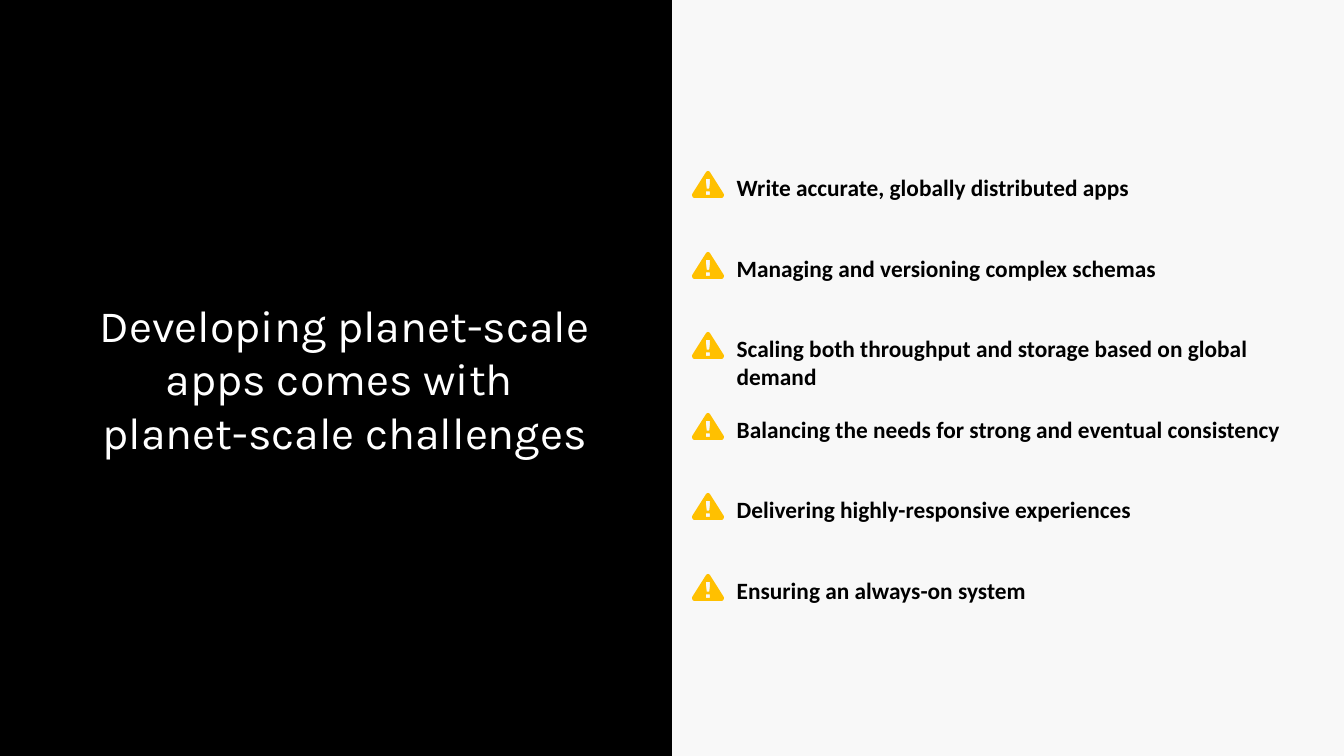
from pptx import Presentation, util as u
from pptx.dml.color import RGBColor
from pptx.enum import shapes, text

# Content
TITLE = "Developing planet-scale apps comes with \vplanet-scale challenges"
CHALLENGES = [
    "Write accurate, globally distributed apps",
    "Managing and versioning complex schemas",
    "Scaling both throughput and storage based on global demand",
    "Balancing the needs for strong and eventual consistency",
    "Delivering highly-responsive experiences",
    "Ensuring an always-on system",
]
COLORS = {"panel": "000000", "page": "F8F8F8", "title": "FFFFFF",
          "body": "000000", "warning": "FFC000"}

# Warning sign outlines, in tenths of a px: triangle, stem, dot
WARNING_SIGN = [
    [(316, 227), (180, 12), (172, 4), (160, 0), (148, 4), (140, 12),
     (4, 227), (0, 240), (4, 256), (12, 266), (26, 270),
     (294, 270), (308, 266), (316, 256), (320, 240)],
    [(140, 80), (180, 80), (180, 118), (172, 178), (148, 178), (140, 118)],
    [(140, 205), (180, 205), (180, 240), (140, 240)],
]

# Layout in px
SCALE = 9255
WIDTH, HEIGHT = 1344, 756
ICON_LEFT, TEXT_LEFT, TEXT_WIDTH = 692, 727, 602
FIRST_TOP, LAST_TOP = 168, 571
ICON_DROP = 3


def px(length):
    return u.Emu(round(length * SCALE))


def color(name):
    return RGBColor.from_string(COLORS[name])


def add_text(page, words, left, top, width, height, *, font, size, fill,
             bold=False, align=text.PP_ALIGN.LEFT, anchor=text.MSO_ANCHOR.TOP):
    box = page.shapes.add_textbox(px(left), px(top), px(width), px(height))
    frame = box.text_frame
    frame.word_wrap = True
    frame.vertical_anchor = anchor
    para = frame.paragraphs[0]
    para.text = words
    para.alignment = align
    for span in para.runs:
        span.font.name = font
        span.font.size = u.Pt(size)
        span.font.bold = bold
        span.font.color.rgb = color(fill)


def paint(shape, fill):
    shape.shadow.inherit = False
    shape.fill.solid()
    shape.fill.fore_color.rgb = color(fill)
    shape.line.fill.background()


def add_warning(page, left, top):
    first, *holes = WARNING_SIGN
    builder = page.shapes.build_freeform(*first[0], scale=SCALE / 10)
    builder.add_line_segments(first[1:])
    for hole in holes:
        builder.move_to(*hole[0])
        builder.add_line_segments(hole[1:])
    paint(builder.convert_to_shape(px(left), px(top)), "warning")


def main():
    deck = Presentation()
    deck.slide_width, deck.slide_height = px(WIDTH), px(HEIGHT)
    page = deck.slides.add_slide(deck.slide_layouts[6])
    page.background.fill.solid()
    page.background.fill.fore_color.rgb = color("page")

    # Left half with the title
    panel = page.shapes.add_shape(shapes.MSO_SHAPE.RECTANGLE,
                                  0, 0, px(WIDTH / 2), px(HEIGHT))
    paint(panel, "panel")
    add_text(page, TITLE, 65, 220, 560, 316, font="Karla", size=32.6,
             fill="title", align=text.PP_ALIGN.CENTER,
             anchor=text.MSO_ANCHOR.MIDDLE)

    # Right half with one warning per challenge
    pitch = (LAST_TOP - FIRST_TOP) / (len(CHALLENGES) - 1)
    for row, challenge in enumerate(CHALLENGES):
        top = round(FIRST_TOP + row * pitch)
        add_warning(page, ICON_LEFT, top + ICON_DROP)
        add_text(page, challenge, TEXT_LEFT, top, TEXT_WIDTH, 38,
                 font="Calibri", size=17, fill="body", bold=True)

    deck.save("out.pptx")


if __name__ == "__main__":
    main()
